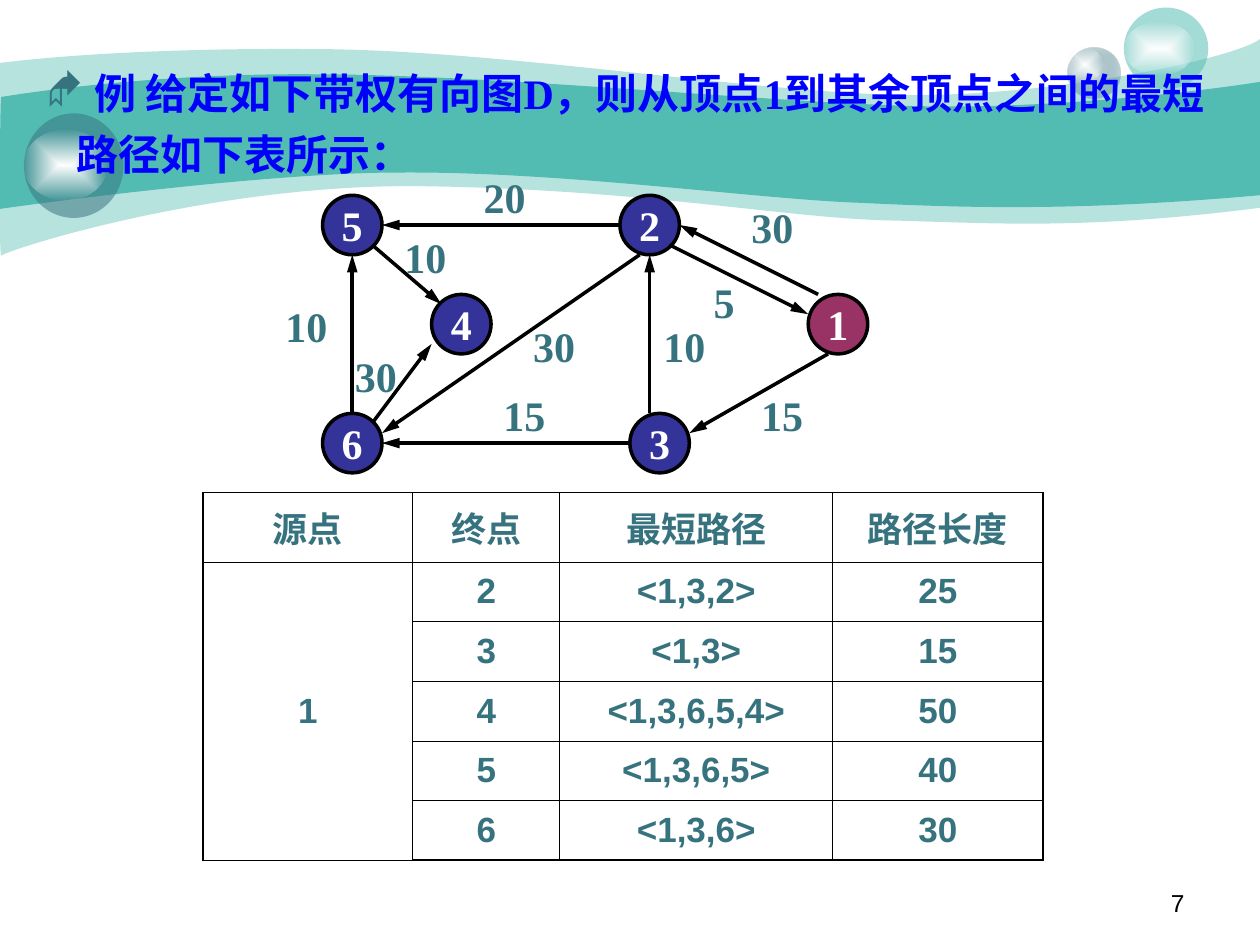
from lxml import etree
from pptx import Presentation
from pptx.dml.color import RGBColor
from pptx.enum.shapes import MSO_CONNECTOR, MSO_SHAPE
from pptx.enum.text import MSO_ANCHOR, PP_ALIGN
from pptx.oxml.ns import qn
from pptx.util import Inches, Pt

OVAL, STRAIGHT = MSO_SHAPE.OVAL, MSO_CONNECTOR.STRAIGHT
CENTER, LEFT, RIGHT = PP_ALIGN.CENTER, PP_ALIGN.LEFT, PP_ALIGN.RIGHT
MIDDLE = MSO_ANCHOR.MIDDLE

THEME = {
    "teal": "52BCB2", "slate": "37737F", "mist": "CCDBDE", "white": "FFFFFF",
    "black": "000000", "heading": "0000FF", "node": "333399", "source": "993366",
    "serif": "Times New Roman", "sans": "Arial", "symbols": "Wingdings",
    "big": 24, "cell": 20, "number": 14,
    "edge": 2, "frame": 1.08, "rule": 0.45,
}

HEADING = "例 给定如下带权有向图D，则从顶点1到其余顶点之间的最短路径如下表所示："
PAGE = "7"

# Waves: opacity, start point, then Bezier curves (3 points) and lines (1 point), inches
WAVES = [
    (41, (0, 0.5), [
        [(0.24, 0.47), (1.07, 0.38), (2.47, 0.39)], [(3.86, 0.39), (5.75, 0.7), (6.99, 0.75)],
        [(8.22, 0.8), (9.8, 0.47), (10, 0.31)], [(10, 1.65)],
        [(8.58, 1.83), (7.87, 1.77), (7.05, 1.75)], [(6.22, 1.73), (5.15, 1.51), (3.43, 1.48)],
        [(1.72, 1.44), (0.04, 1.99), (0.01, 2.03)], [(-0.01, 2.08), (0, 0.75), (0, 0.5)]]),
    (100, (0.01, 0.77), [
        [(0.02, 0.77), (1.1, 0.58), (2.48, 0.59)], [(3.86, 0.59), (5.95, 0.8), (7.18, 0.84)],
        [(8.41, 0.88), (9.76, 0.69), (10, 0.65)], [(10, 1.55)],
        [(8.53, 1.68), (7.65, 1.65), (6.82, 1.61)], [(5.99, 1.58), (4.47, 1.36), (3.17, 1.37)],
        [(2.03, 1.37), (-0.02, 1.66), (-0.01, 1.66)], [(0, 1.66), (0, 0.77), (0.01, 0.77)]]),
]

# Bubbles: body and highlight, each a box and (colour, opacity) stops from the centre out
SHINE = [("white", 100), ("white", 0)]
BUBBLES = [
    [((8.47, 0.38, 0.42, 0.4), [("mist", 100), ("slate", 31)]),
     ((8.47, 0.38, 0.28, 0.27), SHINE)],
    [((8.92, 0.06, 0.67, 0.65), [("teal", 53)]),
     ((8.92, 0.17, 0.56, 0.43), SHINE)],
    [((0.19, 0.9, 0.79, 0.83), [("slate", 53)]),
     ((0.19, 1.03, 0.66, 0.56), SHINE)],
]

# Graph on a fine grid: 30 steps from vertex 5 to vertex 2, a vertex is 6 steps wide
ORIGIN, STEP, NODE = (2.56, 1.55), 2.36 / 30, 6
NODES = {"4": (11, 10), "1": (49, 10), "2": (30, 0),
         "3": (31, 22), "6": (0, 22), "5": (0, 0)}
# from, to, weight, label corner, label alignment
EDGES = [
    ((3, 22), (3, 6), "10", (-5, 10), LEFT),
    ((30, 3), (6, 3), "20", (15, -3), LEFT),
    ((32, 6), (6, 24), "30", (20, 12), LEFT),
    ((31, 25), (6, 25), "15", (17, 19), LEFT),
    ((33, 22), (33, 6), "10", (32, 12), CENTER),
    ((50, 10), (36, 3), "30", (42, 0), LEFT),
    ((35, 5), (49, 12), "5", (36, 7.6), CENTER),
    ((51, 16), (37, 24), "15", (43, 19), LEFT),
    ((5, 5), (12, 11), "10", (7, 3), LEFT),
    ((5, 23), (11, 15), "30", (2, 15), LEFT),
]

TABLE_AT = (1.61, 3.91)
COLS = [sixths / 6 for sixths in (10, 7, 13, 10)]
ROWS = [0.55] + [2.37 / 5] * 5
TABLE = [
    ["源点", "终点", "最短路径", "路径长度"],
    ["1", "2", "<1,3,2>", "25"],
    ["", "3", "<1,3>", "15"],
    ["", "4", "<1,3,6,5,4>", "50"],
    ["", "5", "<1,3,6,5>", "40"],
    ["", "6", "<1,3,6>", "30"],
]


def rgb(name):
    return RGBColor.from_string(THEME[name])


def sub(parent, tag, **attrs):
    return etree.SubElement(parent, qn(tag), {k: str(v) for k, v in attrs.items()})


def add_color(parent, name, opacity=100):
    clr = sub(parent, "a:srgbClr", val=THEME[name])
    if opacity < 100:
        sub(clr, "a:alpha", val=opacity * 1000)


def paint(shape, stops):
    """Fill without outline: one stop is flat, two run out from the centre."""
    shape.shadow.inherit = False
    shape.line.fill.background()
    if len(stops) == 1:
        fill = etree.Element(qn("a:solidFill"))
        add_color(fill, *stops[0])
    else:
        fill = etree.Element(qn("a:gradFill"), rotWithShape="1")
        gs_list = sub(fill, "a:gsLst")
        for pos, stop in zip((0, 100000), stops):
            add_color(sub(gs_list, "a:gs", pos=pos), *stop)
        sub(sub(fill, "a:path", path="rect"), "a:fillToRect", l=50000, t=50000, r=50000, b=50000)
    shape._element.spPr.find(qn("a:ln")).addprevious(fill)


def style_run(r, size, color, font="serif", bold=True):
    r.font.size, r.font.name, r.font.bold = Pt(THEME[size]), THEME[font], bold
    r.font.color.rgb = rgb(color)


def write(tf, text, *style, align=LEFT, before=0, **more):
    tf.text = text
    p = tf.paragraphs[0]
    p.alignment, p.space_before = align, Pt(before)
    for r in p.runs:
        style_run(r, *style, **more)
    return p


def add_text(shapes, box, *args, **style):
    tf = shapes.add_textbox(*map(Inches, box)).text_frame
    tf.word_wrap = True
    return write(tf, *args, **style)


def add_wave(shapes, opacity, start, segments):
    """Outline all points with lines, then turn each run of three into a Bezier."""
    builder = shapes.build_freeform(*map(Inches, start))
    builder.add_line_segments([tuple(map(Inches, pt)) for seg in segments for pt in seg])
    sp = builder.convert_to_shape()
    lines = iter(list(sp._element.spPr.iter(qn("a:lnTo"))))
    for seg in segments:
        first, *others = [next(lines) for _ in seg]
        if others:
            first.addprevious(curve := etree.Element(qn("a:cubicBezTo")))
            for line in (first, *others):
                curve.append(line[0])
                line.getparent().remove(line)
    paint(sp, [("teal", opacity)])


def on_grid(point):
    return tuple(o + n * STEP for o, n in zip(ORIGIN, point))


def add_graph(shapes):
    for name, corner in NODES.items():
        sp = shapes.add_shape(OVAL, *map(Inches, (*on_grid(corner), NODE * STEP, NODE * STEP)))
        sp.shadow.inherit = False
        sp.fill.solid()
        sp.fill.fore_color.rgb = rgb("source" if name == "1" else "node")
        sp.line.color.rgb, sp.line.width = rgb("black"), Pt(THEME["edge"])
        sp.text_frame.word_wrap, sp.text_frame.vertical_anchor = False, MIDDLE
        write(sp.text_frame, name, "big", "white", align=CENTER)
    for start, end, *_ in EDGES:
        cx = shapes.add_connector(STRAIGHT, *map(Inches, on_grid(start) + on_grid(end)))
        cx.line.color.rgb, cx.line.width = rgb("black"), Pt(THEME["edge"])
        sub(cx.line._get_or_add_ln(), "a:tailEnd", type="triangle", w="med", len="lg")
        sub(cx._element.spPr, "a:effectLst")
    for *_, weight, corner, align in EDGES:
        add_text(shapes, (*on_grid(corner), 0.71, 0.5), weight, "big", "slate",
                 align=align, before=15)


def add_borders(cell, outer):
    """Rule all four sides; outer says which lie on the table's frame."""
    tc_pr = cell._tc.get_or_add_tcPr()
    for side, on_frame in zip("LRTB", outer):
        width = Pt(THEME["frame" if on_frame else "rule"])
        ln = sub(tc_pr, "a:ln" + side, w=int(width))
        add_color(sub(ln, "a:solidFill"), "black")


def add_paths_table(shapes):
    box = (*TABLE_AT, sum(COLS), sum(ROWS))
    table = shapes.add_table(len(ROWS), len(COLS), *map(Inches, box)).table
    table.first_row = table.horz_banding = False
    for col, width in zip(table.columns, COLS):
        col.width = Inches(width)
    for row, height in zip(table.rows, ROWS):
        row.height = Inches(height)
    last_row, last_col = len(ROWS) - 1, len(COLS) - 1
    table.cell(1, 0).merge(table.cell(last_row, 0))
    for i, row in enumerate(TABLE):
        for j, text in enumerate(row):
            cell = table.cell(i, j)
            add_borders(cell, (j == 0, j == last_col, i == 0, i == last_row))
            cell.fill.background()
            cell.vertical_anchor = MIDDLE
            write(cell.text_frame, text, "cell", "slate", "sans", align=CENTER, before=5)


def add_heading(shapes):
    p = add_text(shapes, (0.27, 0.41, 9.48, 1.06), " ", "big", "white")
    r = p.add_run()
    r.text = HEADING
    style_run(r, "big", "heading")
    p.line_spacing = 1.2
    p_pr = p._p.get_or_add_pPr()
    p_pr.set("marL", str(Inches(0.24)))
    p_pr.set("indent", str(-Inches(0.24)))
    add_color(sub(p_pr, "a:buClr"), "slate")
    sub(p_pr, "a:buFont", typeface=THEME["symbols"], charset=2)
    sub(p_pr, "a:buChar", char="◆")


def main():
    prs = Presentation()
    prs.slide_width, prs.slide_height = Inches(10), Inches(7.5)
    s = prs.slides.add_slide(prs.slide_layouts[6])
    for wave in WAVES:
        add_wave(s.shapes, *wave)
    for bubble in BUBBLES:
        group = s.shapes.add_group_shape()
        for box, stops in bubble:
            paint(group.shapes.add_shape(OVAL, *map(Inches, box)), stops)
    add_text(s.shapes, (7.17, 7, 2.33, 0.35), PAGE, "number", "black", "sans",
             bold=False, align=RIGHT)
    add_heading(s.shapes)
    add_graph(s.shapes.add_group_shape().shapes)
    add_paths_table(s.shapes)
    prs.save("out.pptx")


if __name__ == "__main__":
    main()
